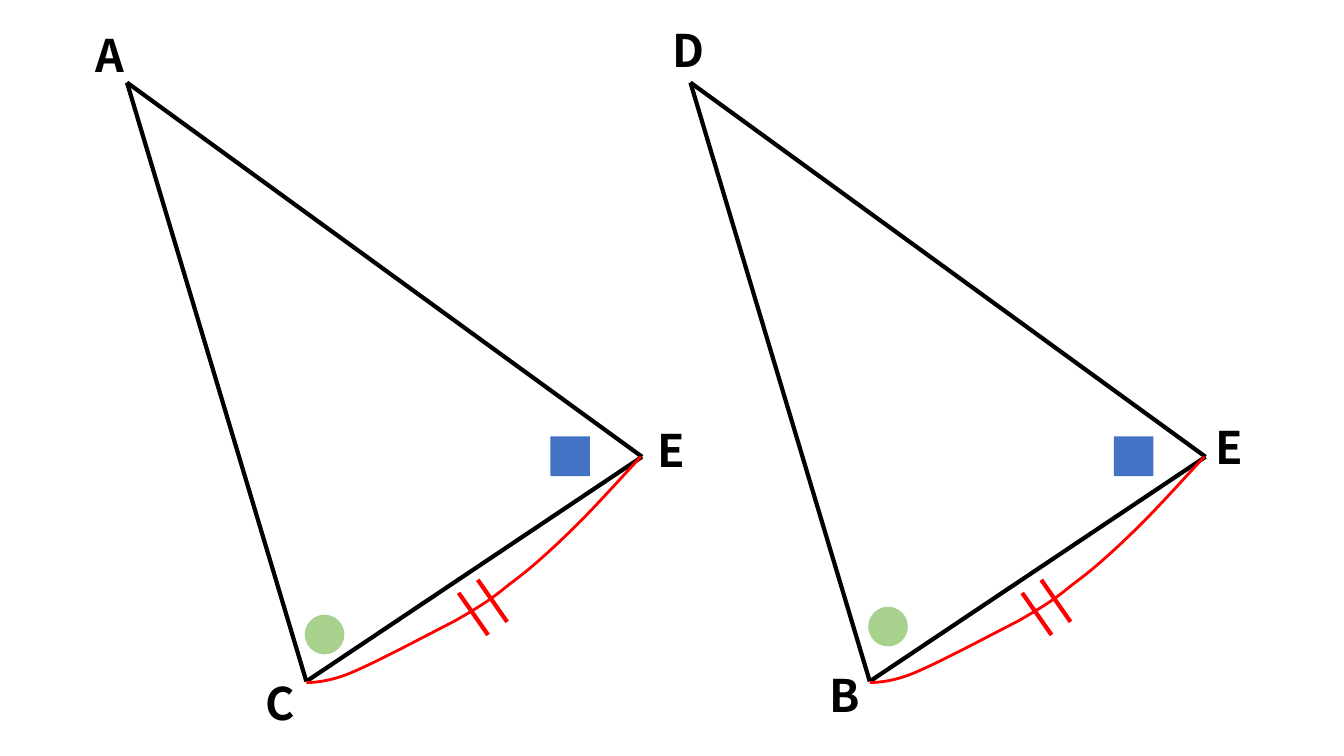
from dataclasses import dataclass

from lxml import etree
from pptx import Presentation
from pptx.dml.color import RGBColor
from pptx.enum.shapes import MSO_CONNECTOR, MSO_SHAPE
from pptx.enum.text import MSO_AUTO_SIZE
from pptx.oxml.ns import qn
from pptx.util import Cm, Pt

STRAIGHT = MSO_CONNECTOR.STRAIGHT
SQUARE = MSO_SHAPE.RECTANGLE
CIRCLE = MSO_SHAPE.OVAL
FIT_TEXT = MSO_AUTO_SIZE.SHAPE_TO_FIT_TEXT


@dataclass(frozen=True)
class Theme:
    font: str = "Noto Sans CJK JP"
    label_size: int = 32
    side_width: float = 3
    arc_width: float = 2
    ink: RGBColor = RGBColor(0x00, 0x00, 0x00)
    equal_side: RGBColor = RGBColor(0xFF, 0x00, 0x00)
    square_angle: RGBColor = RGBColor(0x44, 0x72, 0xC4)
    round_angle: RGBColor = RGBColor(0xA9, 0xD1, 0x8E)


# Geometry of the left triangle, in centimetres
TOP, BOTTOM, RIGHT = (3.2, 2.08), (7.72, 17.17), (16.18, 11.51)
MARKER_SIZE = 1.0
SQUARE_AT = (13.87, 11.0)
TICK = ((12.04, 14.61), (12.78, 15.67))
TICK_STEP = (-0.48, 0.33)
ARC_START = (16.15, 11.51)
ARC_CURVES = [
    ((15.49, 12.22), (14.86, 12.93), (14.3, 13.46)),
    ((13.74, 14.0), (13.31, 14.38), (12.83, 14.73)),
    ((12.37, 15.11), (12.12, 15.27), (11.46, 15.65)),
    ((10.77, 16.0), (9.45, 16.71), (8.81, 16.97)),
    ((8.2, 17.22), (7.72, 17.2), (7.72, 17.2)),
]
ARC_STEPS = 12
LABEL_HEIGHT = 1.63

# Horizontal offset, circle top, and labels as (text, left, top, width)
TRIANGLES = [
    (0, 15.49, [("A", 2.16, 0.58, 1.75), ("C", 6.43, 16.89, 1.5),
                ("E", 16.31, 10.52, 2.24)]),
    (14.2, 15.29, [("D", 16.69, 0.46, 2.24), ("B", 20.65, 16.69, 2.24),
                   ("E", 30.38, 10.44, 1.96)]),
]
CIRCLE_LEFT = 7.68


def shift(point, across, down=0):
    return point[0] + across, point[1] + down


def bezier_point(points, t):
    weights = ((1 - t) ** 3, 3 * t * (1 - t) ** 2, 3 * t * t * (1 - t), t ** 3)
    return tuple(sum(weight * point[axis] for weight, point in zip(weights, points))
                 for axis in (0, 1))


def arc_points():
    points, start = [ARC_START], ARC_START
    for curve in ARC_CURVES:
        points += [bezier_point((start, *curve), step / ARC_STEPS)
                   for step in range(1, ARC_STEPS + 1)]
        start = curve[-1]
    return points


class Drawing:
    def __init__(self, slide, theme):
        self.slide = slide
        self.theme = theme

    def line(self, start, end, color, shapes=None):
        shapes = shapes or self.slide.shapes
        connector = shapes.add_connector(
            STRAIGHT, *(Cm(value) for value in (*start, *end)))
        connector.line.color.rgb = color
        connector.line.width = Pt(self.theme.side_width)
        properties = connector._element.find(qn("p:spPr"))
        etree.SubElement(properties, qn("a:effectLst"))

    def label(self, text, left, top, width):
        box = self.slide.shapes.add_textbox(
            Cm(left), Cm(top), Cm(width), Cm(LABEL_HEIGHT))
        frame = box.text_frame
        frame.word_wrap = True
        frame.auto_size = FIT_TEXT
        run = frame.paragraphs[0].add_run()
        run.text = text
        run.font.name = self.theme.font
        run.font.size = Pt(self.theme.label_size)
        run.font.bold = True
        run.font.color.rgb = self.theme.ink

    def marker(self, kind, position, color):
        shape = self.slide.shapes.add_shape(
            kind, Cm(position[0]), Cm(position[1]), Cm(MARKER_SIZE), Cm(MARKER_SIZE))
        shape.shadow.inherit = False
        shape.fill.solid()
        shape.fill.fore_color.rgb = color
        shape.line.fill.background()

    def curve(self, points, shapes):
        start, *rest = [(Cm(x), Cm(y)) for x, y in points]
        builder = shapes.build_freeform(*start)
        builder.add_line_segments(rest, close=False)
        shape = builder.convert_to_shape()
        shape.shadow.inherit = False
        shape.fill.background()
        shape.line.color.rgb = self.theme.equal_side
        shape.line.width = Pt(self.theme.arc_width)

    def equal_side_mark(self, offset):
        shapes = self.slide.shapes.add_group_shape().shapes
        for index in range(2):
            across, down = (index * step for step in TICK_STEP)
            start, end = (shift(point, offset + across, down) for point in TICK)
            self.line(start, end, self.theme.equal_side, shapes)
        self.curve([shift(point, offset) for point in arc_points()], shapes)

    def triangle(self, offset, circle_top, labels):
        top, bottom, right = (shift(point, offset) for point in (TOP, BOTTOM, RIGHT))
        for start, end in ((top, bottom), (right, bottom), (right, top)):
            self.line(start, end, self.theme.ink)
        for label in labels:
            self.label(*label)
        self.marker(SQUARE, shift(SQUARE_AT, offset), self.theme.square_angle)
        self.marker(CIRCLE, (CIRCLE_LEFT + offset, circle_top), self.theme.round_angle)
        self.equal_side_mark(offset)


def main():
    presentation = Presentation()
    presentation.slide_width = Cm(33.87)
    presentation.slide_height = Cm(19.05)
    blank_layout = presentation.slide_layouts[6]
    drawing = Drawing(presentation.slides.add_slide(blank_layout), Theme())

    # Two congruent triangles side by side
    for triangle in TRIANGLES:
        drawing.triangle(*triangle)

    presentation.save("out.pptx")


if __name__ == "__main__":
    main()
